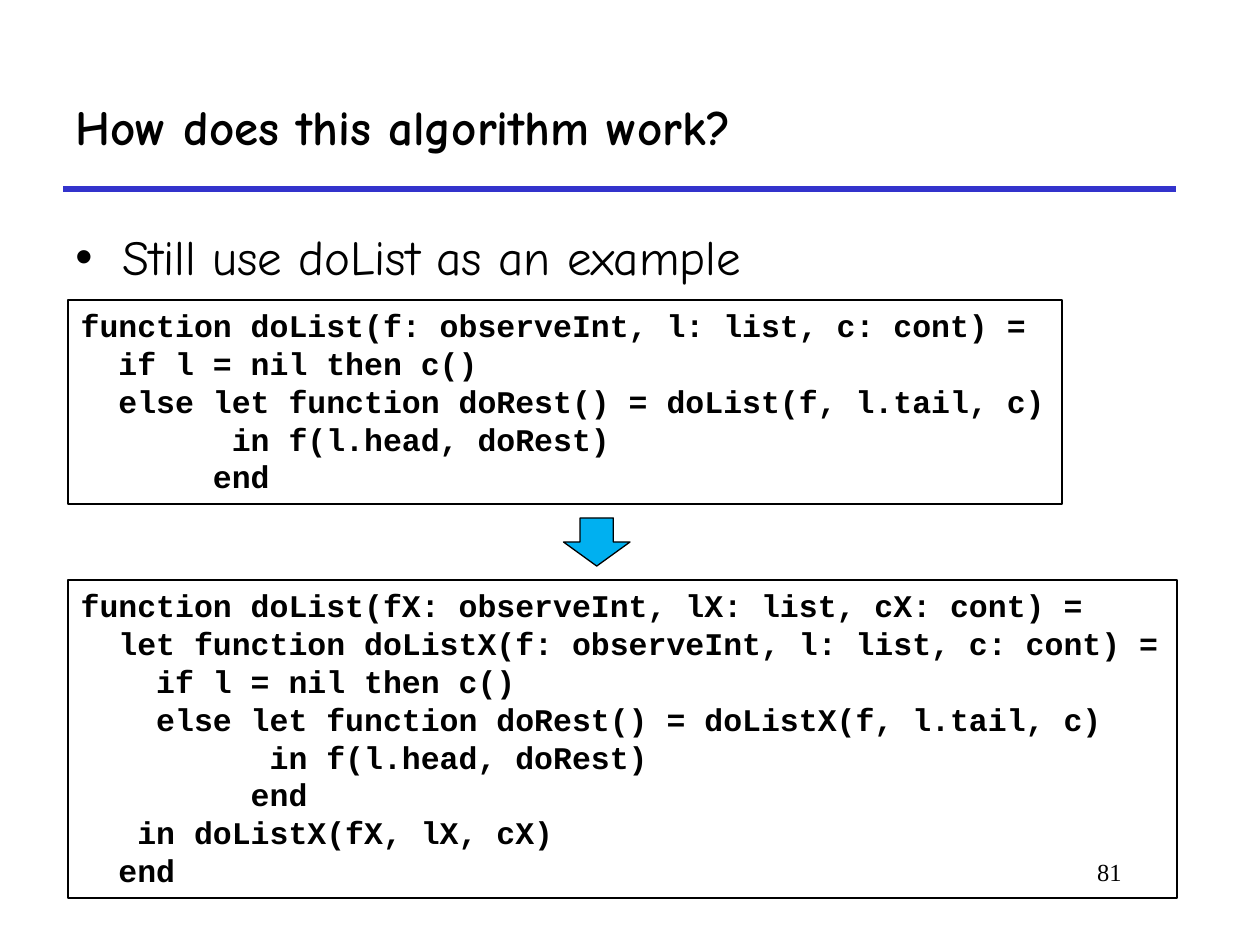
from dataclasses import dataclass

from lxml import etree
from pptx import Presentation
from pptx.dml.color import RGBColor
from pptx.enum.shapes import MSO_CONNECTOR, MSO_SHAPE
from pptx.enum.text import MSO_ANCHOR, MSO_AUTO_SIZE, PP_ALIGN
from pptx.oxml.ns import qn
from pptx.util import Pt

STRAIGHT = MSO_CONNECTOR.STRAIGHT
RECTANGLE, DOWN_ARROW = MSO_SHAPE.RECTANGLE, MSO_SHAPE.DOWN_ARROW
TOP, MIDDLE = MSO_ANCHOR.TOP, MSO_ANCHOR.MIDDLE
LEFT, RIGHT = PP_ALIGN.LEFT, PP_ALIGN.RIGHT
FIT_SHAPE, NO_FIT = MSO_AUTO_SIZE.SHAPE_TO_FIT_TEXT, MSO_AUTO_SIZE.NONE

COLORS = {"text": "000000", "rule": "3333CC", "arrow": "00B0F0"}
HEADING_FONT, CODE_FONT, NUMBER_FONT = "Comic Neue", "Courier New", "Times New Roman"
MARGIN = 36
BULLET_INDENT = 27


@dataclass(frozen=True)
class Box:
    left: float
    top: float
    width: float
    height: float

    def lengths(self) -> list:
        return [Pt(v) for v in (self.left, self.top, self.width, self.height)]


@dataclass(frozen=True)
class CodeBlock:
    box: Box
    code: str


CODE_BLOCKS = [
    CodeBlock(Box(39, 171.5, 568, 116.5), """\
function doList(f: observeInt, l: list, c: cont) =
  if l = nil then c()
  else let function doRest() = doList(f, l.tail, c)
        in f(l.head, doRest)
       end"""),
    CodeBlock(Box(39, 331.5, 633.5, 181.5), """\
function doList(fX: observeInt, lX: list, cX: cont) =
  let function doListX(f: observeInt, l: list, c: cont) =
    if l = nil then c()
    else let function doRest() = doListX(f, l.tail, c)
          in f(l.head, doRest)
         end
   in doListX(fX, lX, cX)
  end"""),
]


def rgb(name: str) -> RGBColor:
    return RGBColor.from_string(COLORS[name])


def format_text(frame, font: str, size: float, bold: bool = False, align=LEFT) -> None:
    for paragraph in frame.paragraphs:
        paragraph.alignment = align
        for run in paragraph.runs:
            run.font.name = font
            run.font.size = Pt(size)
            run.font.bold = bold
            run.font.color.rgb = rgb("text")


def set_title(slide, text: str, box: Box) -> None:
    title = slide.shapes.title
    title.left, title.top, title.width, title.height = box.lengths()
    frame = title.text_frame
    frame.text = text
    frame.vertical_anchor = MIDDLE
    frame.auto_size = NO_FIT
    format_text(frame, HEADING_FONT, 28, bold=True)


def add_rule(slide, left: float, right: float, y: float) -> None:
    rule = slide.shapes.add_connector(STRAIGHT, Pt(left), Pt(y), Pt(right), Pt(y))
    rule.line.color.rgb = rgb("rule")
    rule.line.width = Pt(3)
    etree.SubElement(rule._element.spPr, qn("a:effectLst"))


def add_text(slide, text: str, box: Box):
    frame = slide.shapes.add_textbox(*box.lengths()).text_frame
    frame.word_wrap = True
    frame.text = text
    return frame


def add_bullet(paragraph) -> None:
    properties = paragraph._p.get_or_add_pPr()
    properties.set("marL", str(Pt(BULLET_INDENT)))
    properties.set("indent", str(-Pt(BULLET_INDENT)))
    etree.SubElement(properties, qn("a:buFont"), typeface="Arial")
    etree.SubElement(properties, qn("a:buChar"), char="•")


def add_outlined(slide, preset, box: Box, line_width: float):
    shape = slide.shapes.add_shape(preset, *box.lengths())
    shape.shadow.inherit = False
    shape.line.color.rgb = rgb("text")
    shape.line.width = Pt(line_width)
    return shape


def add_code(slide, block: CodeBlock) -> None:
    shape = add_outlined(slide, RECTANGLE, block.box, 1)
    shape.fill.background()
    frame = shape.text_frame
    frame.word_wrap = False
    frame.auto_size = FIT_SHAPE
    frame.vertical_anchor = TOP
    frame.text = block.code
    format_text(frame, CODE_FONT, 18, bold=True)


def main() -> None:
    deck = Presentation()
    deck.slide_width, deck.slide_height = Pt(720), Pt(540)
    slide = deck.slides.add_slide(deck.slide_layouts[5])

    add_rule(slide, MARGIN, 672, 108)
    set_title(slide, "How does this algorithm work?", Box(MARGIN, 36, 636, 72))

    point = add_text(slide, "Still use doList as an example", Box(MARGIN, 126, 654, 348))
    add_bullet(point.paragraphs[0])
    format_text(point, HEADING_FONT, 28)

    number = add_text(slide, "81", Box(546, 486, 102, 36))
    format_text(number, NUMBER_FONT, 14, align=RIGHT)

    for block in CODE_BLOCKS:
        add_code(slide, block)

    arrow = add_outlined(slide, DOWN_ARROW, Box(322, 296, 38, 27.5), 0.75)
    arrow.fill.solid()
    arrow.fill.fore_color.rgb = rgb("arrow")

    deck.save("out.pptx")


if __name__ == "__main__":
    main()
